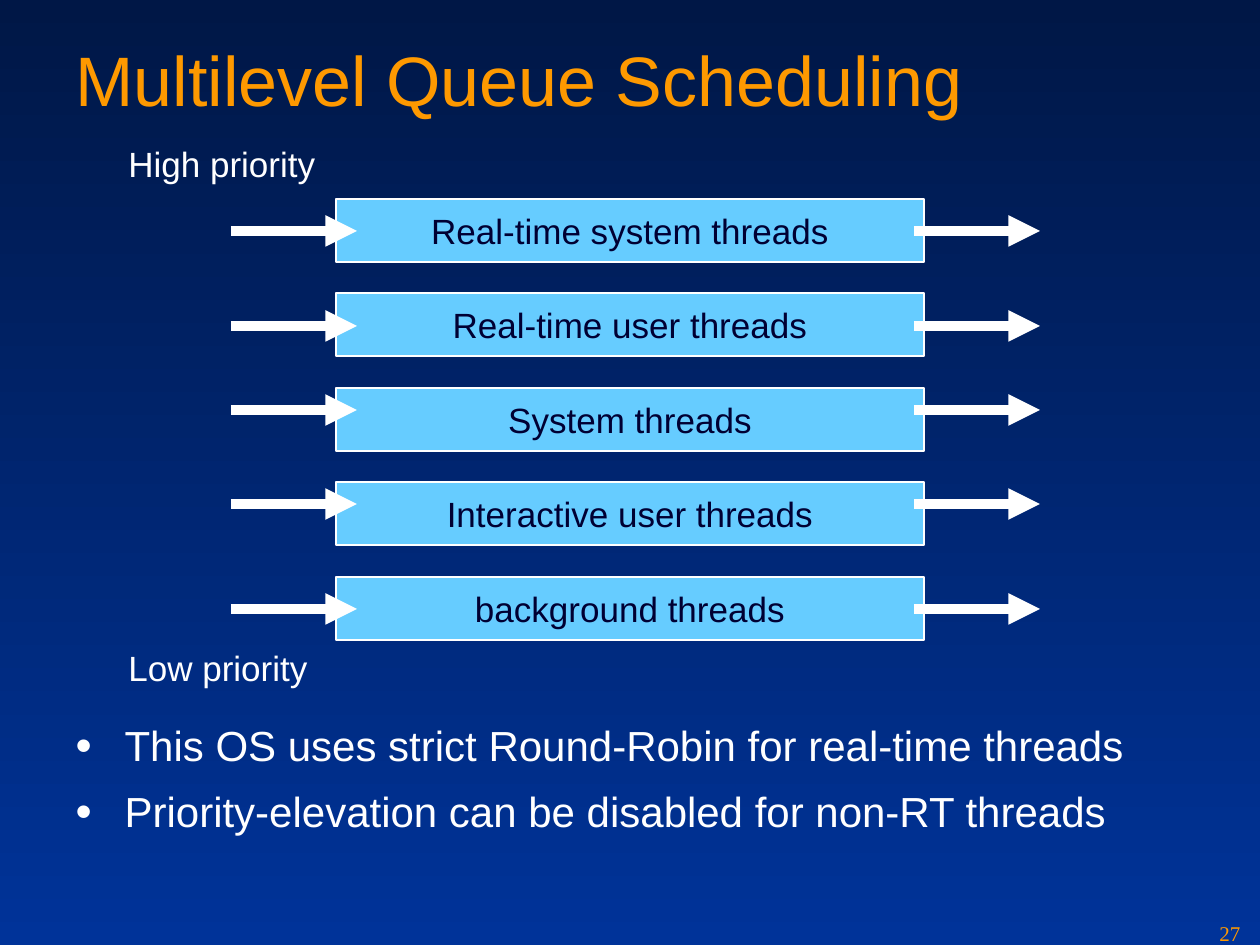
from lxml import etree
from pptx import Presentation
from pptx.dml.color import RGBColor
from pptx.enum.shapes import MSO_CONNECTOR, MSO_SHAPE
from pptx.enum.text import MSO_ANCHOR, MSO_AUTO_SIZE, PP_ALIGN
from pptx.oxml.ns import qn
from pptx.util import Emu, Pt

RECT = MSO_SHAPE.RECTANGLE
STRAIGHT = MSO_CONNECTOR.STRAIGHT
TOP, MIDDLE = MSO_ANCHOR.TOP, MSO_ANCHOR.MIDDLE
LEFT, CENTER = PP_ALIGN.LEFT, PP_ALIGN.CENTER
NO_FIT = MSO_AUTO_SIZE.NONE

PX_PER_INCH = 126
COLORS = {
    "bg_top": "001746",
    "bg_bottom": "003399",
    "accent": "FE9900",
    "queue": "66CCFF",
    "queue_text": "000033",
    "white": "FFFFFF",
}


def px(n):
    return Emu(round(n * 914400 / PX_PER_INCH))


def rgb(name):
    return RGBColor.from_string(COLORS[name])


class Deck:
    """Style helpers bound to the current slide."""

    font = "Arial"

    def __init__(self, prs):
        self.s = prs.slides.add_slide(prs.slide_layouts[1])

    def background(self, top, bottom):
        fill = self.s.background.fill
        fill.gradient()
        fill.gradient_angle = 270
        for stop, color in zip(fill.gradient_stops, (top, bottom)):
            stop.color.rgb = rgb(color)

    def place(self, sp, x, y, w, h):
        sp.left, sp.top, sp.width, sp.height = px(x), px(y), px(w), px(h)

    def run(self, p, text, size, color, font=None):
        r = p.add_run()
        r.text = text
        r.font.size = Pt(size)
        r.font.name = font or self.font
        r.font.color.rgb = rgb(color)

    def title(self, text, *box):
        sp = self.s.shapes.title
        self.place(sp, *box)
        tf = sp.text_frame
        tf.auto_size, tf.vertical_anchor = NO_FIT, TOP
        p = tf.paragraphs[0]
        p.alignment = LEFT
        self.run(p, text, 40, "accent")

    def bullet(self, p):
        pPr = p._p.get_or_add_pPr()
        pPr.set("marL", str(px(49)))
        pPr.set("indent", str(-px(49)))
        clr = etree.SubElement(pPr, qn("a:buClr"))
        etree.SubElement(clr, qn("a:srgbClr"), val=COLORS["white"])
        etree.SubElement(pPr, qn("a:buSzPct"), val="110000")
        etree.SubElement(pPr, qn("a:buChar"), char="•")

    def body(self, items, *box):
        sp = self.s.placeholders[1]
        self.place(sp, *box)
        tf = sp.text_frame
        tf.auto_size, tf.vertical_anchor = NO_FIT, TOP
        for i, text in enumerate(items):
            p = tf.add_paragraph() if i else tf.paragraphs[0]
            self.bullet(p)
            p.line_spacing = 0.9
            p.space_before = Pt(6 if i else 0)
            p.space_after = Pt(6)
            self.run(p, text, 24, "white")

    def label(self, text, x, y, w, h, size=20, color="white", font=None):
        tf = self.s.shapes.add_textbox(px(x), px(y), px(w), px(h)).text_frame
        tf.word_wrap = True
        self.run(tf.paragraphs[0], text, size, color, font)

    def queue(self, text, x, y, w, h):
        sp = self.s.shapes.add_shape(RECT, px(x), px(y), px(w), px(h))
        sp.shadow.inherit = False
        sp.fill.solid()
        sp.fill.fore_color.rgb = rgb("queue")
        sp.line.color.rgb = rgb("white")
        sp.line.width = Pt(0.75)
        tf = sp.text_frame
        tf.vertical_anchor = MIDDLE
        p = tf.paragraphs[0]
        p.alignment = CENTER
        self.run(p, text, 20, "queue_text")

    def arrow(self, x, y, length):
        c = self.s.shapes.add_connector(STRAIGHT, px(x), px(y), px(x + length), px(y))
        c.line.color.rgb = rgb("white")
        c.line.width = Pt(6)
        etree.SubElement(c.line._get_or_add_ln(), qn("a:tailEnd"), type="triangle")
        etree.SubElement(c._element.spPr, qn("a:effectLst"))


def main():
    prs = Presentation()
    prs.slide_width, prs.slide_height = px(1260), px(945)
    deck = Deck(prs)
    deck.background("bg_top", "bg_bottom")
    deck.title("Multilevel Queue Scheduling", 63, 30, 1134, 158)

    # Each queue with the height of its arrows
    queues = [
        ("Real-time system threads", 231),
        ("Real-time user threads", 326),
        ("System threads", 410),
        ("Interactive user threads", 504),
        ("background threads", 609),
    ]
    for row, (text, _) in enumerate(queues):
        deck.queue(text, 336, 199 + row * 189 // 2, 588, 63)
    for x in (231, 914):
        for _, y in queues:
            deck.arrow(x, y, 126)

    deck.label("High priority", 116, 136, 212, 55)
    deck.label("Low priority", 116, 640, 212, 55)
    deck.body([
        "This OS uses strict Round-Robin for real-time threads",
        "Priority-elevation can be disabled for non-RT threads",
    ], 63, 719, 1134, 129)
    deck.label("27", 1207, 914, 53, 31, 12, "accent", "Times New Roman")
    prs.save("out.pptx")


if __name__ == "__main__":
    main()
